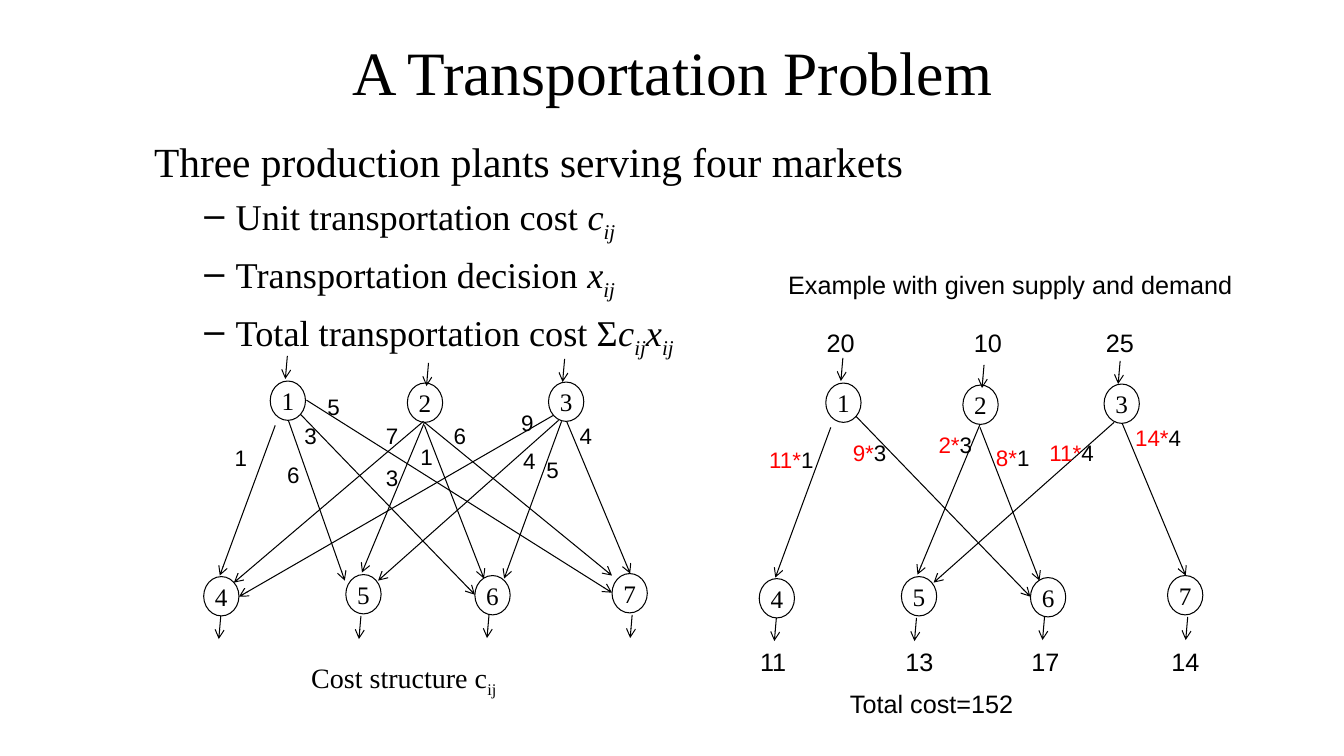
"""Build the slide on a transportation problem with its two network diagrams."""
from lxml import etree
from pptx import Presentation
from pptx import util as u
from pptx.dml.color import RGBColor
from pptx.enum import shapes, text
from pptx.oxml.ns import qn

PX = 9144
SERIF, SANS = "Times New Roman", "Arial"
BLACK, RED = "000000", "FF0000"
LEFT, CENTER = text.PP_ALIGN.LEFT, text.PP_ALIGN.CENTER
MIDDLE, TOP = text.MSO_ANCHOR.MIDDLE, text.MSO_ANCHOR.TOP


def colour(target, value):
    target.rgb = RGBColor.from_string(value)


def write(paragraph, runs, size, face, align=LEFT):
    paragraph.alignment = align
    for words, style in runs:
        run = paragraph.add_run()
        run.text = words
        font = {"size": u.Pt(size), "name": face, "italic": style.get("italic")}
        for key, value in font.items():
            setattr(run.font, key, value)
        colour(run.font.color, style.get("color", BLACK))
        if "baseline" in style:
            run._r.get_or_add_rPr().set("baseline", style["baseline"])


prs = Presentation()
prs.slide_width, prs.slide_height = 1333 * PX, 750 * PX
slide = prs.slides.add_slide(prs.slide_layouts[5])

title = slide.shapes.title
for key, value in {"left": 217, "top": 17, "width": 900, "height": 106}.items():
    setattr(title, key, value * PX)
title.text_frame.vertical_anchor = MIDDLE
write(title.text_frame.paragraphs[0], [("A Transportation Problem", {})], 44, SERIF, CENTER)

plain, symbol = {}, {"italic": True}
index = {"italic": True, "baseline": "-25000"}
outline = slide.shapes.add_textbox(143 * PX, 130 * PX, 973 * PX, 201 * PX).text_frame
outline.word_wrap = True
write(outline.paragraphs[0], [("Three production plants serving four markets", plain)], 29.6, SERIF)
points = [
    [("Unit transportation cost ", plain), ("c", symbol), ("ij", index)],
    [("Transportation decision ", plain), ("x", symbol), ("ij", index)],
    [("Total transportation cost Σ", plain), ("c", symbol), ("ij", index),
     ("x", symbol), ("ij", index)],
]
for point in points:
    paragraph = outline.add_paragraph()
    paragraph.space_before = u.Pt(6)
    properties = paragraph._p.get_or_add_pPr()
    for key, value in {"marL": 81, "indent": -31, "lvl": 1}.items():
        properties.set(key, str(value if key == "lvl" else value * PX))
    etree.SubElement(properties, qn("a:buChar")).set("char", "–")
    write(paragraph, point, 25.9, SERIF)

nodes = {1: (268, 378), 2: (404, 380), 3: (544, 379),
         4: (202, 572), 5: (343, 570), 6: (471, 571), 7: (607, 569)}
stubs = [(285, 353), (425, 360), (560, 356), (219, 611), (358, 611), (485, 610), (627, 610)]
routes = {
    (3, 4): (549, 412, 237, 592), (2, 4): (420, 418, 232, 578),
    (1, 4): (273, 422, 218, 571), (1, 5): (286, 417, 342, 576),
    (1, 6): (298, 411, 471, 590), (1, 7): (304, 397, 607, 588),
    (2, 5): (421, 419, 359, 568), (3, 5): (554, 417, 375, 576),
    (2, 6): (421, 422, 480, 574), (2, 7): (421, 419, 607, 571),
    (3, 7): (562, 418, 625, 569), (3, 6): (557, 418, 500, 574),
}
costs = {
    (1, 4): (1, 223, 436), (2, 6): (1, 407, 435), (1, 5): (6, 275, 453),
    (1, 7): (5, 315, 385), (3, 6): (5, 532, 448), (3, 7): (4, 565, 414),
    (3, 5): (4, 509, 439), (3, 4): (9, 507, 401), (1, 6): (3, 292, 414),
    (2, 4): (7, 373, 414), (2, 5): (3, 373, 456), (2, 7): (6, 440, 414),
}
shipments = {
    (1, 4): (11, 753, 438), (2, 6): (8, 978, 436), (3, 7): (14, 1116, 416),
    (3, 5): (11, 1031, 431), (1, 6): (9, 836, 431), (2, 5): (2, 921, 423),
}

labels = [(x, y, 43, 37, [(str(cost), plain)], 16, SANS, LEFT, [])
          for cost, x, y in costs.values()]
labels += [(x, y, 78, 37, [(f"{amount}*", {"color": RED}), (str(costs[route][0]), plain)],
            16, SANS, LEFT, [])
           for route, (amount, x, y) in shipments.items()]
labels += [
    (810, 320, 354, 40, [("20\t10\t25", plain)], 18, SANS, LEFT, [146, 277]),
    (744, 636, 465, 40, [("11\t13\t17\t14", plain)], 18, SANS, LEFT, [144, 269, 408]),
    (825, 678, 198, 40, [("Total cost=152", plain)], 18, SANS, CENTER, []),
    (275, 650, 251, 44, [("Cost structure c", plain), ("ij", {"baseline": "-25000"})],
     20, SERIF, CENTER, []),
    (764, 262, 476, 40, [("Example with given supply and demand", plain)],
     18, SANS, CENTER, []),
]

for dx, dy, used in [(0, 0, routes), (551, 2, shipments)]:
    for number, (x, y) in nodes.items():
        node = slide.shapes.add_shape(shapes.MSO_SHAPE.OVAL, (x + dx) * PX, (y + dy) * PX,
                                      35 * PX, 39 * PX)
        node.shadow.inherit = False
        node.fill.background()
        node.line.width = u.Pt(0.75)
        colour(node.line.color, BLACK)
        layout = {"margin_left": 0, "margin_right": 0, "margin_top": 0, "margin_bottom": 0,
                  "word_wrap": False, "vertical_anchor": MIDDLE}
        for key, value in layout.items():
            setattr(node.text_frame, key, value)
        write(node.text_frame.paragraphs[0], [(str(number), plain)], 18, SERIF, CENTER)

    arrows = [routes[route] for route in used]
    arrows += [(x, y, x - 2, y + 23) for x, y in stubs]
    for x1, y1, x2, y2 in arrows:
        arrow = slide.shapes.add_connector(shapes.MSO_CONNECTOR.STRAIGHT, (x1 + dx) * PX,
                                           (y1 + dy) * PX, (x2 + dx) * PX, (y2 + dy) * PX)
        arrow.line.width = u.Pt(0.75)
        colour(arrow.line.color, BLACK)
        etree.SubElement(arrow.line._get_or_add_ln(), qn("a:tailEnd")).set("type", "arrow")
        etree.SubElement(arrow._element.spPr, qn("a:effectLst"))

for x, y, width, height, runs, size, face, align, stops in labels:
    frame = slide.shapes.add_textbox(x * PX, y * PX, width * PX, height * PX).text_frame
    frame.word_wrap = True
    frame.vertical_anchor = TOP
    paragraph = frame.paragraphs[0]
    if stops:
        tabs = etree.SubElement(paragraph._p.get_or_add_pPr(), qn("a:tabLst"))
        for stop in stops:
            etree.SubElement(tabs, qn("a:tab"), pos=str(stop * PX), algn="l")
    write(paragraph, runs, size, face, align)

prs.save("out.pptx")
